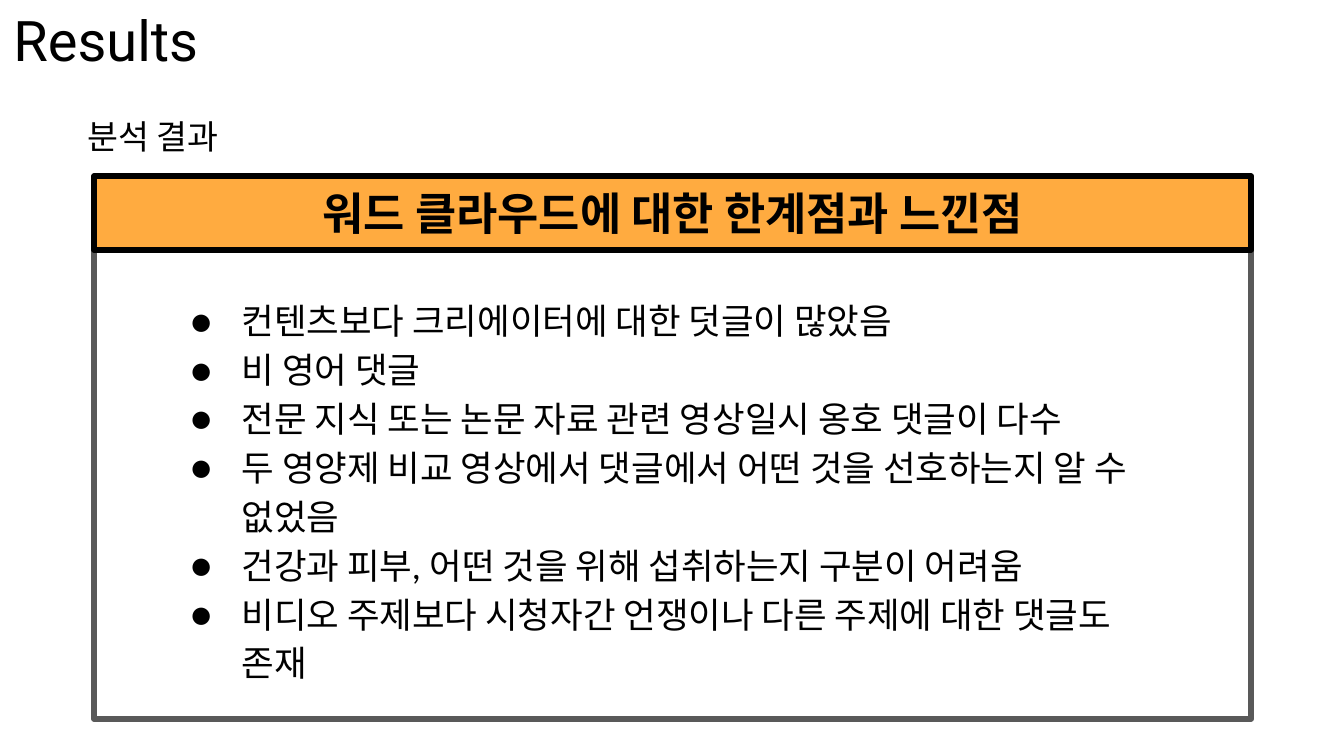
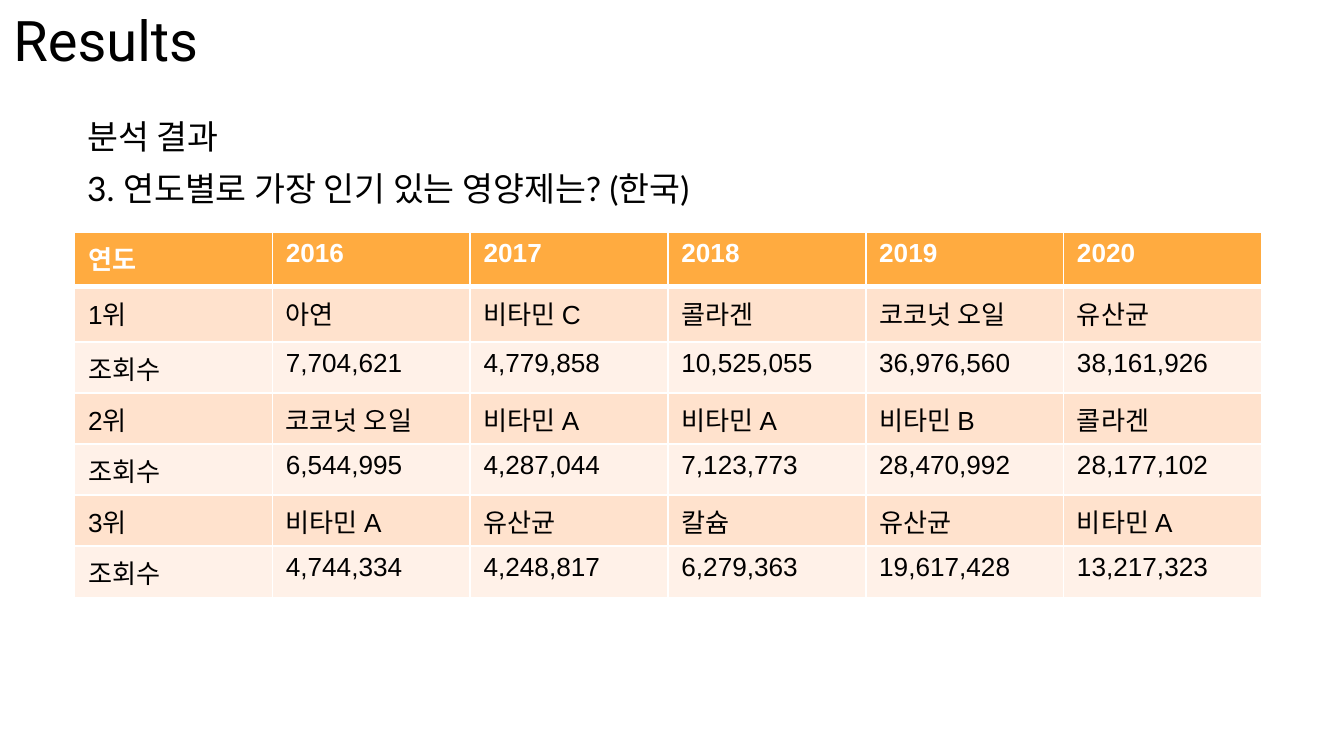
from collections import namedtuple

from lxml import etree
from pptx import Presentation
from pptx import util as u
from pptx.dml.color import RGBColor
from pptx.enum import shapes, text
from pptx.oxml import ns

# Shared style
BLACK, WHITE, GRAY = "000000", "FFFFFF", "595959"
ORANGE, PEACH, CREAM = "FFAB40", "FFE2CD", "FFF1E8"
TITLE_FONT, BODY_FONT, TABLE_FONT = "Roboto", "Lato", "Arial"
LEFT, CENTER = text.PP_ALIGN.LEFT, text.PP_ALIGN.CENTER
TOP, MIDDLE, BOTTOM = (text.MSO_ANCHOR.TOP, text.MSO_ANCHOR.MIDDLE,
                       text.MSO_ANCHOR.BOTTOM)

# Boxes are measured in grid units, ten to the inch
GRID = u.Inches(0.1)
Box = namedtuple("Box", "left top width height")
SLIDE_BOX = Box(0, 0, 100, 56.25)
TITLE_BOX = Box(0, 0, 34.8, 6.4)
HEADING_BOX = Box(5.5, 7.6, 50.4, 5.4)
QUESTION_BOX = Box(5.5, 11.5, 84.8, 5.4)
PANEL_BOX = Box(7, 13.1, 86.1, 40.4)
TABLE_BOX = Box(5.55, 17.25, 88.3, 27.2)
TALL_ROW, ROW = 4.1, 3.8

LIMITS = [
    "컨텐츠보다 크리에이터에 대한 덧글이 많았음",
    "비 영어 댓글",
    "전문 지식 또는 논문 자료 관련 영상일시 옹호 댓글이 다수",
    "두 영양제 비교 영상에서 댓글에서 어떤 것을 선호하는지 알 수 없었음",
    "건강과 피부, 어떤 것을 위해 섭취하는지 구분이 어려움",
    "비디오 주제보다 시청자간 언쟁이나 다른 주제에 대한 댓글도 존재",
]
RANKING = [
    ["연도", "2016", "2017", "2018", "2019", "2020"],
    ["1위", "아연", "비타민 C", "콜라겐", "코코넛 오일", "유산균"],
    ["조회수", "7,704,621", "4,779,858", "10,525,055", "36,976,560", "38,161,926"],
    ["2위", "코코넛 오일", "비타민 A", "비타민 A", "비타민 B", "콜라겐"],
    ["조회수", "6,544,995", "4,287,044", "7,123,773", "28,470,992", "28,177,102"],
    ["3위", "비타민 A", "유산균", "칼슘", "유산균", "비타민 A"],
    ["조회수", "4,744,334", "4,248,817", "6,279,363", "19,617,428", "13,217,323"],
]


def color(value):
    return RGBColor.from_string(value)


def emu(box):
    return [round(length * GRID) for length in box]


def add_xml(parent, tag, **attributes):
    return etree.SubElement(parent, ns.qn(tag), attributes)


def write(frame, lines, font=BODY_FONT, size=18, fill=BLACK, bold=False,
          align=LEFT, anchor=TOP, inset=0.1, spacing=None, bullet=None):
    """Fill a text frame with one paragraph for each line."""
    frame.word_wrap = True
    frame.vertical_anchor = anchor
    frame.margin_left = frame.margin_right = u.Inches(0.1)
    frame.margin_top = frame.margin_bottom = u.Inches(inset)
    lines = [lines] if isinstance(lines, str) else lines
    for index, line in enumerate(lines):
        paragraph = frame.add_paragraph() if index else frame.paragraphs[0]
        paragraph.alignment = align
        if spacing:
            paragraph.line_spacing = spacing
        if bullet:
            add_bullet(paragraph, bullet, font, fill)
        run = paragraph.add_run()
        run.text = line
        run.font.name, run.font.size = font, u.Pt(size)
        run.font.bold, run.font.color.rgb = bold, color(fill)


def add_bullet(paragraph, symbol, font, fill):
    properties = paragraph._p.get_or_add_pPr()
    properties.set("marL", str(u.Inches(0.5)))
    properties.set("indent", str(u.Inches(-0.38)))
    add_xml(add_xml(properties, "a:buClr"), "a:srgbClr", val=fill)
    add_xml(properties, "a:buFont", typeface=font)
    add_xml(properties, "a:buChar", char=symbol)


def add_text(slide, box, lines, **style):
    write(slide.shapes.add_textbox(*emu(box)).text_frame, lines, **style)


def add_rectangle(slide, box, fill, line):
    shape = slide.shapes.add_shape(shapes.MSO_SHAPE.RECTANGLE, *emu(box))
    shape.shadow.inherit = False
    shape.fill.solid()
    shape.fill.fore_color.rgb = color(fill)
    shape.line.color.rgb = color(line)
    shape.line.width = u.Pt(3)
    add_xml(shape.line._get_or_add_ln(), "a:round")
    return shape


def add_results_slide(presentation):
    """Title and heading that every slide shares."""
    slide = presentation.slides.add_slide(presentation.slide_layouts[5])
    title = slide.shapes.title
    title.left, title.top, title.width, title.height = emu(TITLE_BOX)
    title.text_frame.auto_size = text.MSO_AUTO_SIZE.NONE
    write(title.text_frame, "Results", font=TITLE_FONT, size=30, anchor=BOTTOM)
    add_text(slide, HEADING_BOX, "분석 결과")
    return slide


def add_panel(slide, box, heading, points):
    """Outlined panel with a heading band and a bullet list."""
    band = box._replace(height=5.5)
    body = box._replace(top=box.top + band.height,
                        height=box.height - band.height)
    add_rectangle(slide, body, WHITE, GRAY)
    header = add_rectangle(slide, band, ORANGE, BLACK)
    write(header.text_frame, heading, size=24, bold=True, align=CENTER,
          anchor=MIDDLE)
    points_box = Box(body.left + 5, body.top + 2.2, body.width - 10.1, 33.7)
    add_text(slide, points_box, points, size=19, spacing=1.15, bullet="●")


def add_border(cell, side, width):
    properties = cell._tc.get_or_add_tcPr()
    line = add_xml(properties, "a:ln" + side, w=str(u.Pt(width)))
    add_xml(add_xml(line, "a:solidFill"), "a:srgbClr", val=WHITE)


def add_ranking(slide, box, rows):
    """Banded table with a bold header row."""
    table = slide.shapes.add_table(len(rows), len(rows[0]), *emu(box)).table
    for column in table.columns:
        column.width = round(box.width * GRID / len(rows[0]))
    for row_index, values in enumerate(rows):
        is_header = row_index == 0
        table.rows[row_index].height = round(
            (TALL_ROW if row_index < 2 else ROW) * GRID)
        fill = ORANGE if is_header else PEACH if row_index % 2 else CREAM
        for column_index, value in enumerate(values):
            cell = table.cell(row_index, column_index)
            for side in "LRTB":
                thick = (row_index, side) in ((0, "B"), (1, "T"))
                add_border(cell, side, 3 if thick else 1)
            cell.fill.solid()
            cell.fill.fore_color.rgb = color(fill)
            write(cell.text_frame, value, font=TABLE_FONT, size=14,
                  fill=WHITE if is_header else BLACK, bold=is_header,
                  inset=0.05)


def main():
    presentation = Presentation()
    _, _, presentation.slide_width, presentation.slide_height = emu(SLIDE_BOX)

    # Limits of the word cloud
    slide = add_results_slide(presentation)
    add_panel(slide, PANEL_BOX, "워드 클라우드에 대한 한계점과 느낀점", LIMITS)

    # Most popular supplements by year
    slide = add_results_slide(presentation)
    add_text(slide, QUESTION_BOX, "3. 연도별로 가장 인기 있는 영양제는? (한국)")
    add_ranking(slide, TABLE_BOX, RANKING)

    presentation.save("out.pptx")


if __name__ == "__main__":
    main()
